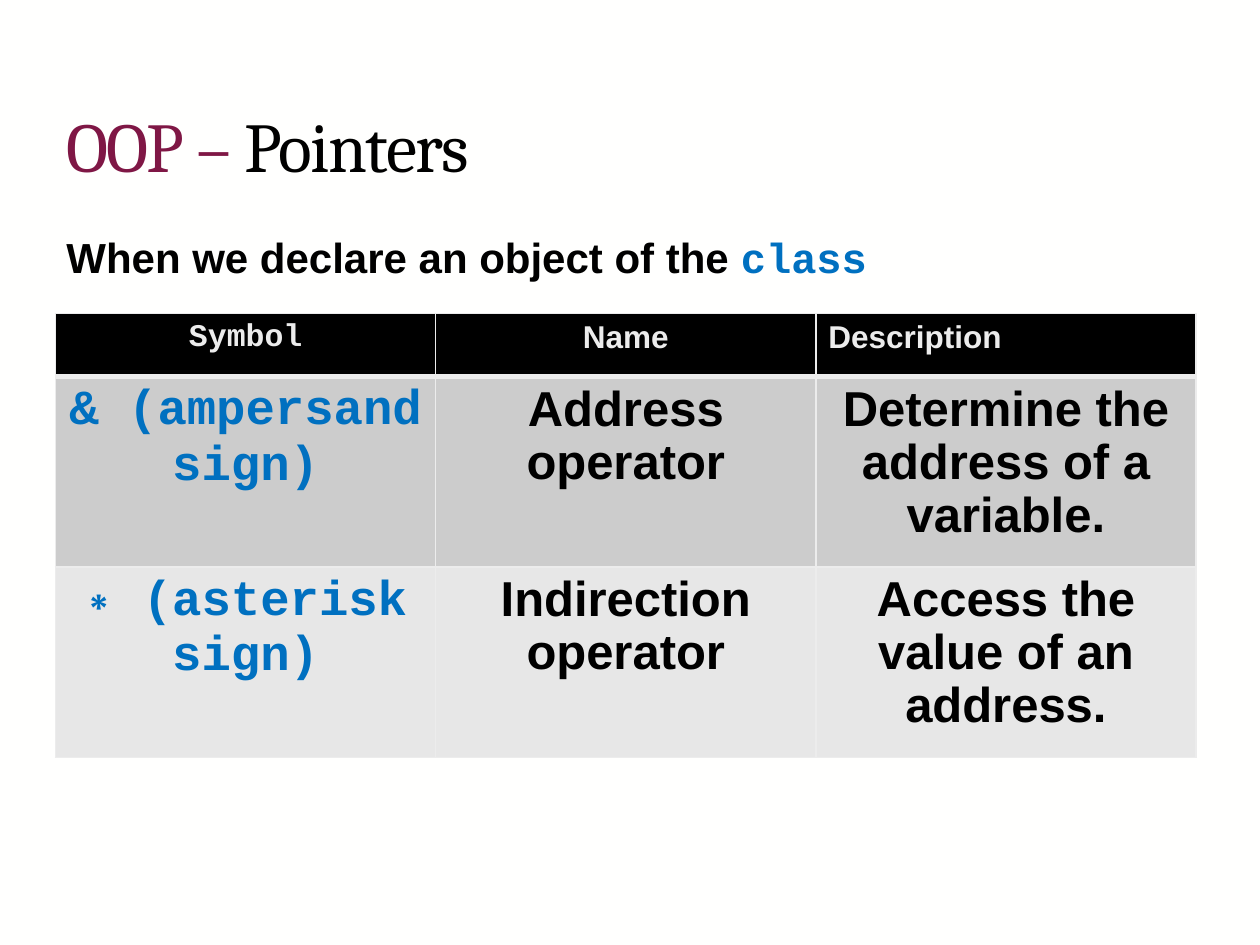
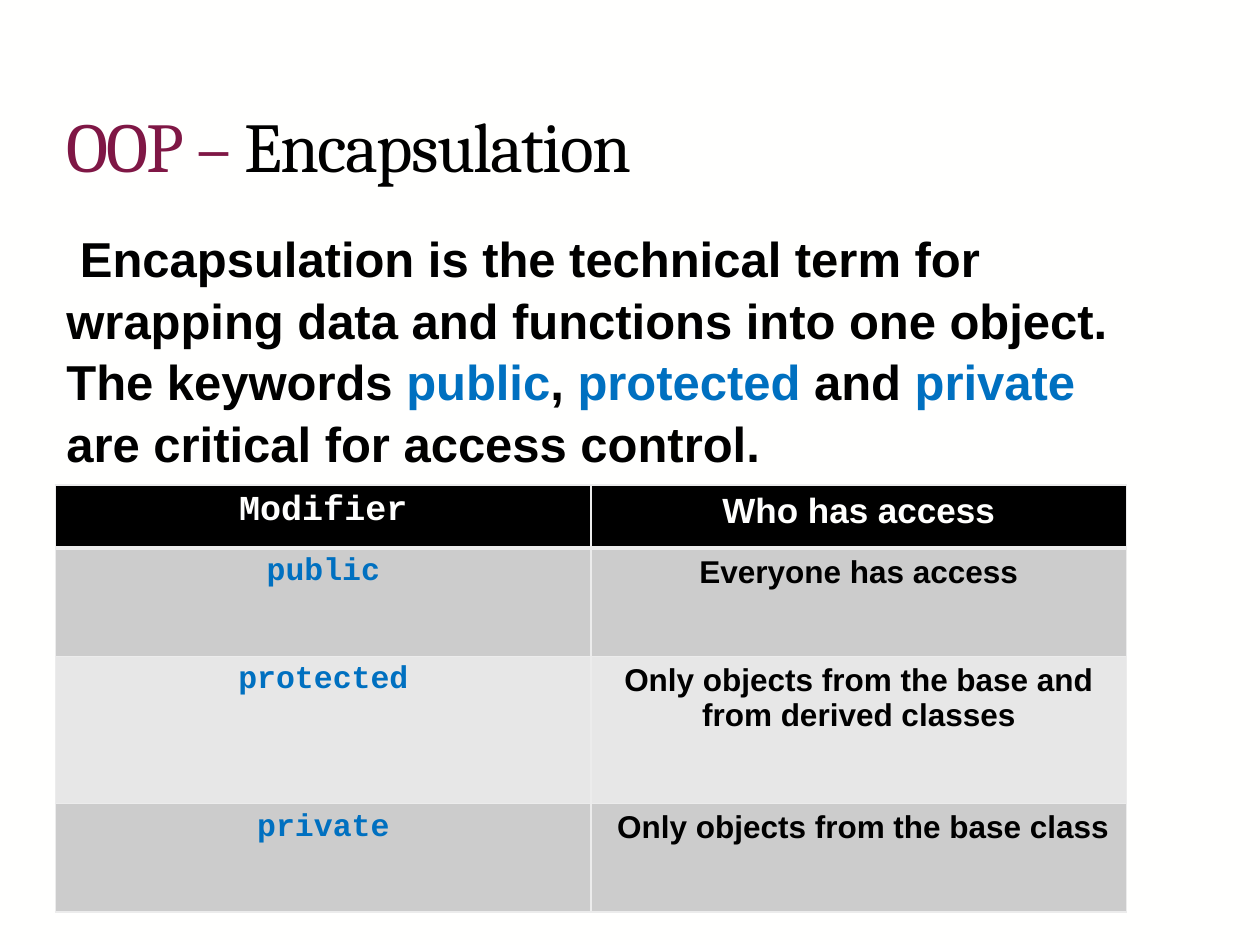
from dataclasses import dataclass

from lxml.etree import SubElement
from pptx import Presentation
from pptx.dml.color import RGBColor
from pptx.enum.shapes import MSO_SHAPE
from pptx.enum.text import MSO_ANCHOR, PP_ALIGN
from pptx.oxml.ns import qn
from pptx.util import Cm, Pt


@dataclass(frozen=True)
class Theme:
    paper: str = "FFFFFE"
    ink: str = "000000"
    accent: str = "7F1745"
    keyword: str = "0070C0"
    grid: str = "ECECEC"
    bands: tuple = ("CCCCCC", "E7E7E7")
    title_font: str = "Cambria"
    text_font: str = "Arial"
    code_font: str = "Courier New"
    title_size: int = 40
    large_size: int = 28
    lead_size: int = 24
    header_size: int = 20
    small_size: int = 18


@dataclass(frozen=True)
class Box:
    left: float
    top: float
    width: float
    height: float

    def lengths(self):
        return Cm(self.left), Cm(self.top), Cm(self.width), Cm(self.height)


@dataclass(frozen=True)
class TableStyle:
    header_size: int
    header_color: str
    body_size: int
    body_margins: tuple = (0.25, 0.13)
    line_spacing: float = 1.0
    header_aligns: tuple = (PP_ALIGN.CENTER, PP_ALIGN.CENTER)


THEME = Theme()
TITLE_BOX = Box(1.09, 1.32, 21.59, 3.18)


def color(value):
    return RGBColor.from_string(value)


def fill_solid(target, value):
    target.fill.solid()
    target.fill.fore_color.rgb = color(value)


def style_paragraph(para, font, size, bold=True, align=PP_ALIGN.LEFT):
    para.alignment = align
    para.font.name = font
    para.font.size = Pt(size)
    para.font.bold = bold


def add_span(para, text, value, font=None):
    span = para.add_run()
    span.text = text
    span.font.color.rgb = color(value)
    if font:
        span.font.name = font
    return span


def add_title(page, box, topic):
    title = page.shapes.title
    title.left, title.top, title.width, title.height = box.lengths()
    title.text_frame.vertical_anchor = MSO_ANCHOR.MIDDLE
    para = title.text_frame.paragraphs[0]
    style_paragraph(para, THEME.title_font, THEME.title_size, bold=False)
    for text, value in (("OOP – ", THEME.accent), (topic, THEME.ink)):
        span = add_span(para, text, value)
        span.font._element.set("spc", "-100")


def add_lead(page, box, size, spans, filled=False):
    if filled:
        lead = page.shapes.add_shape(MSO_SHAPE.RECTANGLE, *box.lengths())
        lead.shadow.inherit = False
        fill_solid(lead, THEME.paper)
        lead.line.fill.background()
    else:
        lead = page.shapes.add_textbox(*box.lengths())
    lead.text_frame.word_wrap = True
    lead.text_frame.vertical_anchor = MSO_ANCHOR.TOP
    para = lead.text_frame.paragraphs[0]
    style_paragraph(para, THEME.text_font, size)
    para.line_spacing = 1.05
    para.space_before = Pt(2)
    for span in spans:
        add_span(para, *span)


def set_borders(cell, widths):
    properties = cell._tc.get_or_add_tcPr()
    for index, (side, width) in enumerate(widths.items()):
        line = properties.makeelement(qn(f"a:{side}"), {"w": str(Pt(width))})
        fill = SubElement(line, qn("a:solidFill"))
        SubElement(fill, qn("a:srgbClr"), val=THEME.grid)
        properties.insert(index, line)


def fill_cell(cell, text, row, column, style):
    header = row == 0
    code = column == 0
    fill_solid(cell, THEME.ink if header else THEME.bands[(row - 1) % 2])
    set_borders(cell, {"lnL": 1, "lnR": 1, "lnT": 3 if row == 1 else 1, "lnB": 3 if header else 1})
    para = cell.text_frame.paragraphs[0]
    font = THEME.code_font if code else THEME.text_font
    if header:
        style_paragraph(para, font, style.header_size, align=style.header_aligns[column])
        add_span(para, text, style.header_color)
        return
    horizontal, vertical = style.body_margins
    cell.margin_left = cell.margin_right = Cm(horizontal)
    cell.margin_top = cell.margin_bottom = Cm(vertical)
    style_paragraph(para, font, style.body_size, align=PP_ALIGN.CENTER)
    if not code:
        para.line_spacing = style.line_spacing
    add_span(para, text, THEME.keyword if code else THEME.ink)


def add_grid(page, box, heights, rows, style):
    count = len(rows[0])
    table = page.shapes.add_table(len(rows), count, *box.lengths()).table
    for column in table.columns:
        column.width = Cm(box.width / count)
    for row, (height, texts) in enumerate(zip(heights, rows)):
        table.rows[row].height = Cm(height)
        for column, text in enumerate(texts):
            fill_cell(table.cell(row, column), text, row, column, style)


def add_page(deck, topic):
    page = deck.slides.add_slide(deck.slide_layouts.get_by_name("Title Only"))
    add_title(page, TITLE_BOX, topic)
    return page


def build_pointers(deck):
    page = add_page(deck, "Pointers")
    add_lead(page, Box(1.09, 4.5, 22.99, 1.27), THEME.lead_size, [
        ("When we declare an object of the ", THEME.ink),
        ("class", THEME.keyword, THEME.code_font),
    ])
    style = TableStyle(
        THEME.small_size, THEME.grid, THEME.large_size, (0.15, 0.15), 0.97,
        (PP_ALIGN.CENTER, PP_ALIGN.CENTER, PP_ALIGN.LEFT))
    add_grid(page, Box(1.12, 6.32, 22.99, 8.95), (1.27, 3.84, 3.84), (
        ("Symbol", "Name", "Description"),
        ("& (ampersand sign)", "Address operator", "Determine the address of a variable."),
        ("∗ (asterisk sign)", "Indirection operator", "Access the value of an address."),
    ), style)


def build_encapsulation(deck):
    page = add_page(deck, "Encapsulation")
    add_lead(page, Box(1.09, 4.42, 21.59, 6.25), THEME.large_size, [
        (" Encapsulation is the technical term for wrapping data and functions"
         " into one object. The keywords ", THEME.ink),
        ("public", THEME.keyword),
        (", ", THEME.ink),
        ("protected ", THEME.keyword),
        ("and ", THEME.ink),
        ("private ", THEME.keyword),
        ("are critical for access control.", THEME.ink),
    ], filled=True)
    style = TableStyle(THEME.header_size, THEME.paper, THEME.small_size)
    add_grid(page, Box(1.12, 9.78, 21.59, 8.6), (1.27, 2.18, 2.97, 2.18), (
        ("Modifier", "Who has access"),
        ("public", "Everyone has access"),
        ("protected", "Only objects from the base and from derived classes"),
        ("private", " Only objects from the base class"),
    ), style)


def main():
    deck = Presentation()
    deck.slide_width, deck.slide_height = Cm(25.4), Cm(19.05)
    fill_solid(deck.slide_master.background, THEME.paper)
    build_pointers(deck)
    build_encapsulation(deck)
    deck.save("out.pptx")


if __name__ == "__main__":
    main()
